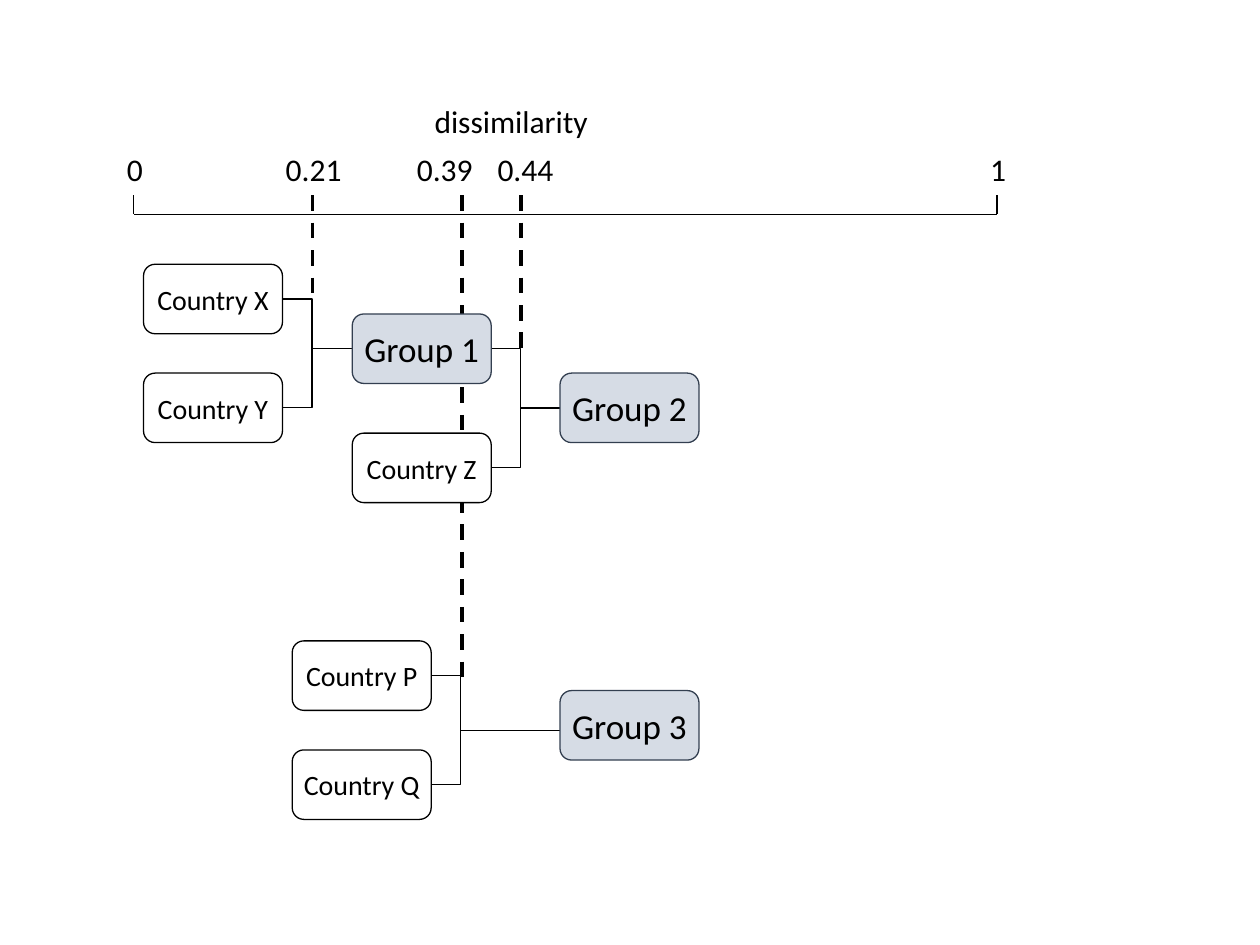
from dataclasses import dataclass
from lxml import etree
from pptx import Presentation
from pptx import util as u
from pptx.dml.color import RGBColor
from pptx.enum import dml, shapes, text
from pptx.oxml.ns import qn

Pt = u.Pt


@dataclass(frozen=True)
class Theme:
    font: str = "Calibri"
    black: str = "000000"
    white: str = "FFFFFF"
    group_fill: str = "D6DCE5"
    group_line: str = "333F50"
    thin: float = 0.75
    thick: float = 2.25
    label_size: int = 18
    country_size: int = 16
    group_size: int = 20


theme = Theme()

# Content: axis labels (text, left, top, width)
labels = [
    ("dissimilarity", 241.2, 54.7, 108.7),
    ("0", 65.5, 82.1, 24.5),
    ("0.21", 156.2, 82.4, 49.7),
    ("0.39", 231.1, 82.1, 49.7),
    ("0.44", 277.2, 82.1, 49.7),
    ("1", 558.7, 82.1, 24.5),
]
# Boxes: name -> (left, top)
countries = {
    "Country X": (82, 151), "Country Y": (82, 213.2), "Country Z": (201.3, 247.5),
    "Country P": (167, 366.2), "Country Q": (167, 428.5),
}
groups = {"Group 1": (201.3, 179.4), "Group 2": (320, 213.2), "Group 3": (320, 394.6)}
# Merges: upper child, lower child, parent, stem height, dashed marker x and end
merges = [
    ("Country P", "Country Q", "Group 3", 417.3, 264.2, 388),
    ("Country X", "Country Y", "Group 1", 199.2, 178.6, 173.5),
    ("Group 1", "Country Z", "Group 2", 233.2, 297.5, 202.3),
]
places = {**countries, **groups}

# Measures
BOX_W, BOX_H = 79.4, 39.7
AXIS_LEFT, AXIS_RIGHT, AXIS_Y, TICK_TOP = 76.5, 569.8, 122.4, 111.6
LABEL_H = 29
ELBOW_W, ELBOW_REACH = 0.5, 16.5

deck = Presentation()
deck.slide_width, deck.slide_height = Pt(720), Pt(540)
page = deck.slides.add_slide(deck.slide_layouts[6])


def color(value):
    return RGBColor.from_string(value)


def write(shape, words, size, align=None, anchor=text.MSO_ANCHOR.TOP, grow=False):
    frame = shape.text_frame
    frame.word_wrap = False
    frame.vertical_anchor = anchor
    if grow:
        frame.auto_size = text.MSO_AUTO_SIZE.SHAPE_TO_FIT_TEXT
    para = frame.paragraphs[0]
    para.alignment = align
    span = para.add_run()
    span.text = words
    span.font.name, span.font.size = theme.font, Pt(size)
    span.font.color.rgb = color(theme.black)


def add_line(x1, y1, x2, y2, width=theme.thin, dashed=False,
             kind=shapes.MSO_CONNECTOR.STRAIGHT):
    line = page.shapes.add_connector(kind, Pt(x1), Pt(y1), Pt(x2), Pt(y2))
    line.line.color.rgb = color(theme.black)
    line.line.width = Pt(width)
    if dashed:
        line.line.dash_style = dml.MSO_LINE.DASH
    etree.SubElement(line._element.spPr, qn("a:effectLst"))
    return line


def add_elbow(x, top, bottom):
    elbow = add_line(x, top, x + ELBOW_W, bottom, kind=shapes.MSO_CONNECTOR.ELBOW)
    geometry = elbow._element.spPr.find(qn("a:prstGeom"))
    guides = geometry.find(qn("a:avLst"))
    if guides is None:
        guides = etree.SubElement(geometry, qn("a:avLst"))
    reach = round(ELBOW_REACH / ELBOW_W * 100000)
    etree.SubElement(guides, qn("a:gd"), name="adj1", fmla=f"val {reach}")


def add_box(name, left, top, fill, outline, size):
    box = page.shapes.add_shape(shapes.MSO_SHAPE.FLOWCHART_ALTERNATE_PROCESS,
                                Pt(left), Pt(top), Pt(BOX_W), Pt(BOX_H))
    box.shadow.inherit = False
    box.fill.solid()
    box.fill.fore_color.rgb = color(fill)
    box.line.color.rgb = color(outline)
    box.line.width = Pt(theme.thin)
    write(box, name, size, text.PP_ALIGN.CENTER, text.MSO_ANCHOR.MIDDLE)


# Axis with end ticks
add_line(AXIS_LEFT, AXIS_Y, AXIS_RIGHT, AXIS_Y)
for x in (AXIS_LEFT, AXIS_RIGHT):
    add_line(x, TICK_TOP, x, AXIS_Y)

# Markers and tree branches, behind the boxes
for upper, lower, parent, stem_y, marker_x, marker_end in merges:
    add_line(marker_x, TICK_TOP, marker_x, marker_end, theme.thick, dashed=True)
    right = places[upper][0] + BOX_W
    add_elbow(right, *(places[child][1] + BOX_H / 2 for child in (upper, lower)))
    add_line(right + ELBOW_REACH, stem_y, places[parent][0], stem_y)

# Boxes
for name, (left, top) in countries.items():
    add_box(name, left, top, theme.white, theme.black, theme.country_size)
for name, (left, top) in groups.items():
    add_box(name, left, top, theme.group_fill, theme.group_line, theme.group_size)

# Axis labels
for words, left, top, width in labels:
    label = page.shapes.add_textbox(Pt(left), Pt(top), Pt(width), Pt(LABEL_H))
    write(label, words, theme.label_size, grow=True)

deck.save("out.pptx")
